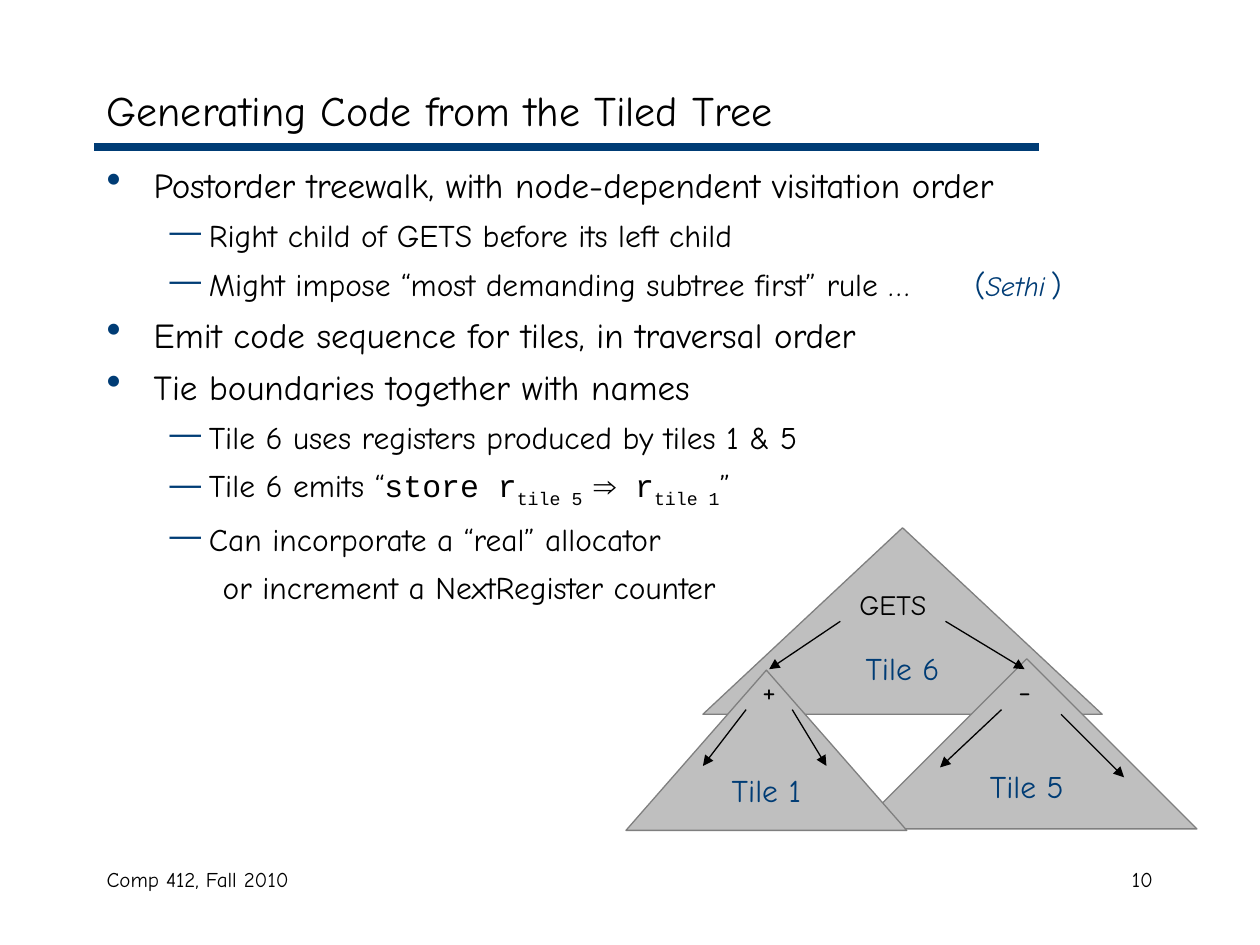
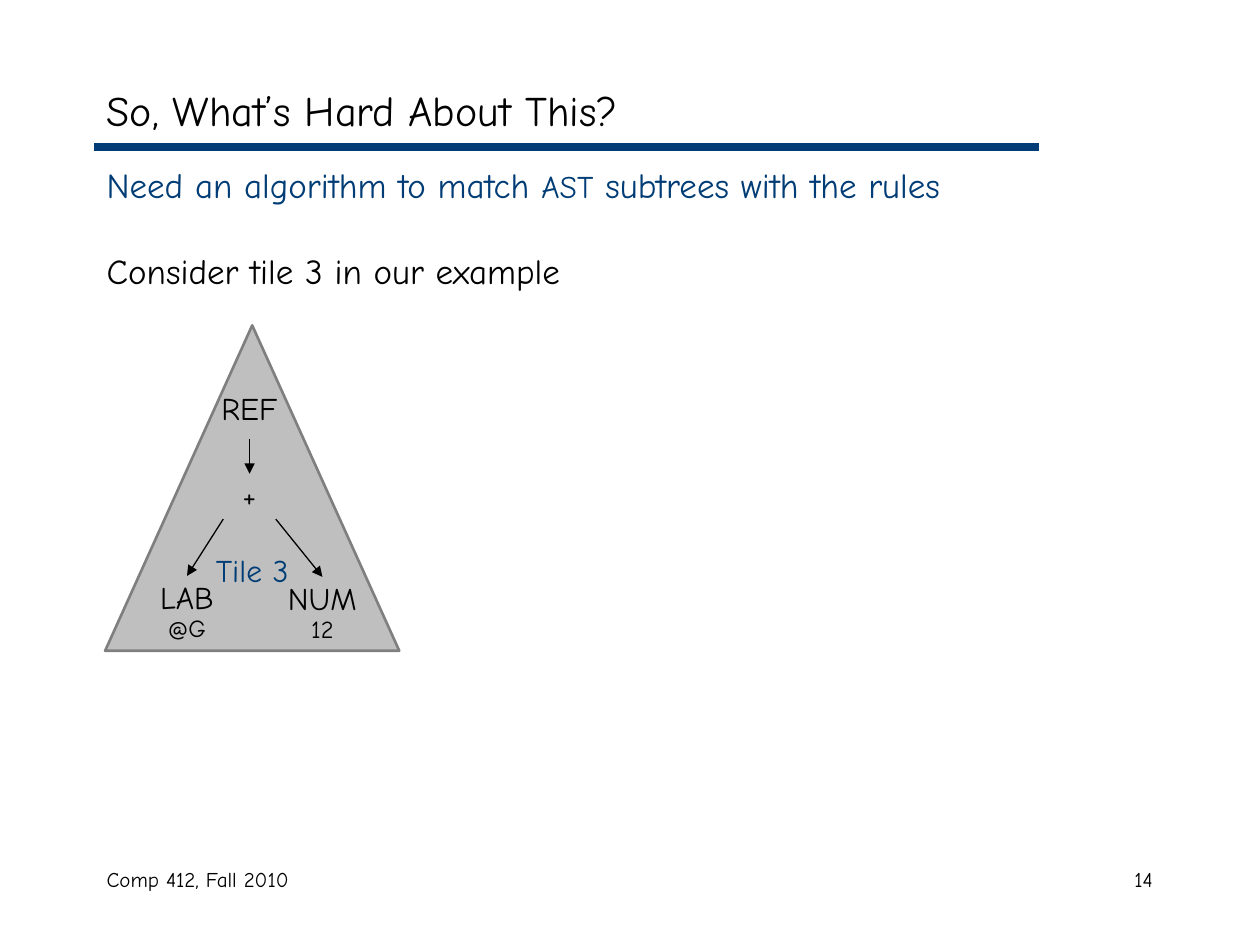
from dataclasses import dataclass, field

from lxml import etree
from pptx import Presentation
from pptx.dml.color import RGBColor
from pptx.enum.shapes import MSO_CONNECTOR, MSO_SHAPE
from pptx.enum.text import MSO_ANCHOR, PP_ALIGN
from pptx.oxml.ns import qn
from pptx.util import Cm, Pt

STRAIGHT = MSO_CONNECTOR.STRAIGHT
TRIANGLE = MSO_SHAPE.ISOSCELES_TRIANGLE
MIDDLE = MSO_ANCHOR.MIDDLE
CENTER, RIGHT = PP_ALIGN.CENTER, PP_ALIGN.RIGHT
TOP_SIDE, LEFT_SIDE, BOTTOM_SIDE, RIGHT_SIDE = range(4)

# Shared look
NAVY, BLACK, WHITE = "003C75", "000000", "FFFFFF"
TILE_FILL, TILE_EDGE = "BFBFBF", "7F7F7F"
FONT, CODE, SYMBOL = "Comic Neue", "Courier New", "Arial"
MARGIN, CONTENT_WIDTH = 1.9, 21.59
RULE_Y, RULE_END = 2.96, 20.95
FOOTER_TOP, FOOTER_HEIGHT = 17.35, 1.27
FOOTER = "Comp 412, Fall 2010"


@dataclass
class Span:
    text: str
    size: float = 18
    color: str = BLACK
    font: str = FONT
    italic: bool = False
    baseline: int = 0


@dataclass
class Para:
    spans: list[Span]
    format: dict = field(default_factory=dict)
    left: float = 0
    hanging: float = 0
    bullet: str = ""
    bullet_size: int = 100
    tabs: tuple[float, ...] = ()


@dataclass
class Box:
    left: float
    top: float
    width: float
    height: float


@dataclass
class Tile:
    box: Box
    name: str
    edge: float = 0.75
    space_after: float = 14.6


@dataclass
class Node:
    box: Box
    lines: list[Span]


@dataclass
class Join:
    node: str
    side: int


@dataclass
class Point:
    x: float
    y: float


@dataclass
class Arrow:
    start: Join | Point
    tip: Join | Point


def rgb(code: str) -> RGBColor:
    return RGBColor.from_string(code)


def apply(target, values: dict) -> None:
    for name, value in values.items():
        setattr(target, name, value)


def extent(box: Box) -> list:
    return [Cm(value) for value in (box.left, box.top, box.width, box.height)]


def bulleted(spans: list[Span]) -> Para:
    return Para(spans, {"space_before": Pt(6)}, 0.95, 0.95, "•", 120)


def dashed(spans: list[Span], tabs: tuple[float, ...] = ()) -> Para:
    return Para(spans, {"space_before": Pt(6)}, 2.06, 0.79, "—", 100, tabs)


def shape_paragraph(properties, para: Para) -> None:
    """Set indents, bullet and tab stops."""
    properties.set("marL", str(Cm(para.left)))
    properties.set("indent", str(-Cm(para.hanging)))
    if para.bullet:
        color = etree.SubElement(properties, qn("a:buClr"))
        etree.SubElement(color, qn("a:srgbClr"), val=NAVY)
        etree.SubElement(properties, qn("a:buSzPct"), val=str(para.bullet_size * 1000))
        etree.SubElement(properties, qn("a:buChar"), char=para.bullet)
    else:
        etree.SubElement(properties, qn("a:buNone"))
    if para.tabs:
        stops = etree.SubElement(properties, qn("a:tabLst"))
        for stop in para.tabs:
            etree.SubElement(stops, qn("a:tab"), pos=str(Cm(stop)), algn="l")


def write(frame, paras: list[Para]) -> None:
    for index, para in enumerate(paras):
        paragraph = frame.add_paragraph() if index else frame.paragraphs[0]
        apply(paragraph, para.format)
        shape_paragraph(paragraph._p.get_or_add_pPr(), para)
        for span in para.spans:
            run = paragraph.add_run()
            run.text = span.text
            apply(run.font, {"name": span.font, "size": Pt(span.size), "italic": span.italic})
            run.font.color.rgb = rgb(span.color)
            if span.baseline:
                run._r.get_or_add_rPr().set("baseline", str(span.baseline * 1000))


def add_text(shapes, box: Box, paras: list[Para], **frame_format):
    text_box = shapes.add_textbox(*extent(box))
    apply(text_box.text_frame, {"word_wrap": True, **frame_format})
    write(text_box.text_frame, paras)
    return text_box


def add_line(shapes, start: Point, end: Point, color: str, width: float):
    line = shapes.add_connector(STRAIGHT, Cm(start.x), Cm(start.y), Cm(end.x), Cm(end.y))
    line.line.color.rgb = rgb(color)
    line.line.width = Pt(width)
    etree.SubElement(line._element.spPr, qn("a:effectLst"))
    return line


def add_tile(shapes, tile: Tile) -> None:
    triangle = shapes.add_shape(TRIANGLE, *extent(tile.box))
    triangle.shadow.inherit = False
    triangle.fill.solid()
    triangle.fill.fore_color.rgb = rgb(TILE_FILL)
    triangle.line.color.rgb = rgb(TILE_EDGE)
    triangle.line.width = Pt(tile.edge)
    apply(triangle.text_frame, {"word_wrap": False, "vertical_anchor": MIDDLE})
    layout = {"alignment": CENTER, "space_after": Pt(tile.space_after)}
    write(triangle.text_frame, [Para([Span(tile.name, color=NAVY)], layout)])


def locate(end: Join | Point, nodes: dict[str, Node]) -> Point:
    if isinstance(end, Point):
        return end
    box = nodes[end.node].box
    across, down = {TOP_SIDE: (0.5, 0), LEFT_SIDE: (0, 0.5),
                    BOTTOM_SIDE: (0.5, 1), RIGHT_SIDE: (1, 0.5)}[end.side]
    return Point(box.left + across * box.width, box.top + down * box.height)


def add_tree(shapes, tiles: list[Tile], nodes: dict[str, Node], arrows: list[Arrow]) -> None:
    for tile in tiles:
        add_tile(shapes, tile)
    layout = {"alignment": CENTER, "line_spacing": 0.9}
    drawn = {name: add_text(shapes, node.box, [Para([line], layout) for line in node.lines])
             for name, node in nodes.items()}
    for arrow in arrows:
        line = add_line(shapes, locate(arrow.start, nodes), locate(arrow.tip, nodes), BLACK, 0.75)
        etree.SubElement(line.line._get_or_add_ln(), qn("a:tailEnd"), type="triangle")
        for end, connect in ((arrow.start, line.begin_connect), (arrow.tip, line.end_connect)):
            if isinstance(end, Join):
                connect(drawn[end.node], end.side)


def add_page(deck, title: str, number: int, body: list[Para]):
    """Add a slide with rule, footer, title and body text."""
    page = deck.slides.add_slide(deck.slide_layouts[6])
    page.background.fill.solid()
    page.background.fill.fore_color.rgb = rgb(WHITE)
    add_line(page.shapes, Point(MARGIN, RULE_Y), Point(RULE_END, RULE_Y), NAVY, 4.5)
    add_text(page.shapes, Box(MARGIN, FOOTER_TOP, 8.05, FOOTER_HEIGHT), [Para([Span(FOOTER, 12)])])
    add_text(page.shapes, Box(18.21, FOOTER_TOP, 5.28, FOOTER_HEIGHT),
             [Para([Span(str(number), 12)], {"alignment": RIGHT})])
    add_text(page.shapes, Box(MARGIN, 1.48, CONTENT_WIDTH, 1.48),
             [Para([Span(title, 24)])], vertical_anchor=MIDDLE)
    add_text(page.shapes, Box(MARGIN, 3.18, CONTENT_WIDTH, 13.76), body)
    return page


def build_tiled_tree(deck) -> None:
    body = [
        bulleted([Span("Postorder treewalk, with node-dependent visitation order", 20)]),
        dashed([Span("Right child of GETS before its left child")]),
        # The stops agree whether measured from the box edge or the indent
        dashed([Span("Might impose “most demanding subtree first” rule …\t"),
                Span("(", color=NAVY), Span("Sethi", 16, NAVY, italic=True),
                Span(" ", 10, NAVY, italic=True), Span(")", color=NAVY)], (15.44, 17.5)),
        bulleted([Span("Emit code sequence for tiles, in traversal order", 20)]),
        bulleted([Span("Tie boundaries together with names", 20)]),
        dashed([Span("Tile 6 uses registers produced by tiles 1 & 5")]),
        dashed([Span("Tile 6 emits “"), Span("store r", font=CODE),
                Span("tile 5 ", font=CODE, baseline=-25), Span("⇒", font=SYMBOL),
                Span(" r", font=CODE), Span("tile 1", font=CODE, baseline=-25), Span("”")]),
        dashed([Span("Can incorporate a “real” allocator")]),
        Para([Span("or increment a NextRegister counter")], {"space_before": Pt(6)}, 2.34),
    ]
    page = add_page(deck, "Generating Code from the Tiled Tree", 10, body)
    tiles = [
        Tile(Box(14.17, 10.64, 8.05, 3.76), "Tile 6", space_after=0),
        Tile(Box(17.27, 13.28, 6.86, 3.43), "Tile 5"),
        Tile(Box(12.62, 13.51, 5.66, 3.23), "Tile 1"),
    ]
    nodes = {
        "gets": Node(Box(16.94, 11.79, 2.12, 1.47), [Span("GETS", 16)]),
        "plus": Node(Box(15.04, 13.49, 0.93, 1.63), [Span("+")]),
        "minus": Node(Box(20.19, 13.49, 0.93, 1.63), [Span("-")]),
    }
    arrows = [
        Arrow(Join("gets", LEFT_SIDE), Join("plus", TOP_SIDE)),
        Arrow(Join("gets", RIGHT_SIDE), Join("minus", TOP_SIDE)),
        Arrow(Join("plus", LEFT_SIDE), Point(14.17, 15.44)),
        Arrow(Join("plus", RIGHT_SIDE), Point(16.66, 15.44)),
        Arrow(Join("minus", LEFT_SIDE), Point(18.95, 15.47)),
        Arrow(Point(21.39, 14.4), Point(22.66, 15.67)),
    ]
    add_tree(page.shapes, tiles, nodes, arrows)


def build_hard_part(deck) -> None:
    body = [
        Para([Span("Need an algorithm to match ", 20, NAVY), Span("AST", 18, NAVY),
              Span(" subtrees with the rules", 20, NAVY)], {"space_before": Pt(5)}),
        Para([Span("Consider tile 3 in our example", 20)], {"space_before": Pt(25)}),
    ]
    page = add_page(deck, "So, What’s Hard About This?", 14, body)
    tiles = [Tile(Box(2.12, 6.56, 5.93, 6.56), "Tile 3", 1.5)]
    nodes = {
        "ref": Node(Box(3.86, 7.8, 2.34, 1.04), [Span("REF")]),
        "lab": Node(Box(2.6, 11.61, 2.34, 1.48), [Span("LAB"), Span("@G", 14)]),
        "num": Node(Box(5.33, 11.63, 2.34, 1.48), [Span("NUM"), Span("12", 14)]),
        "plus": Node(Box(4.5, 9.55, 1.06, 1.83), [Span("+")]),
    }
    arrows = [
        Arrow(Join("ref", BOTTOM_SIDE), Join("plus", TOP_SIDE)),
        Arrow(Join("plus", LEFT_SIDE), Join("lab", TOP_SIDE)),
        Arrow(Join("plus", RIGHT_SIDE), Join("num", TOP_SIDE)),
    ]
    add_tree(page.shapes.add_group_shape().shapes, tiles, nodes, arrows)


def main() -> None:
    deck = Presentation()
    deck.slide_width, deck.slide_height = Cm(25.4), Cm(19.05)
    build_tiled_tree(deck)
    build_hard_part(deck)
    deck.save("out.pptx")


if __name__ == "__main__":
    main()
